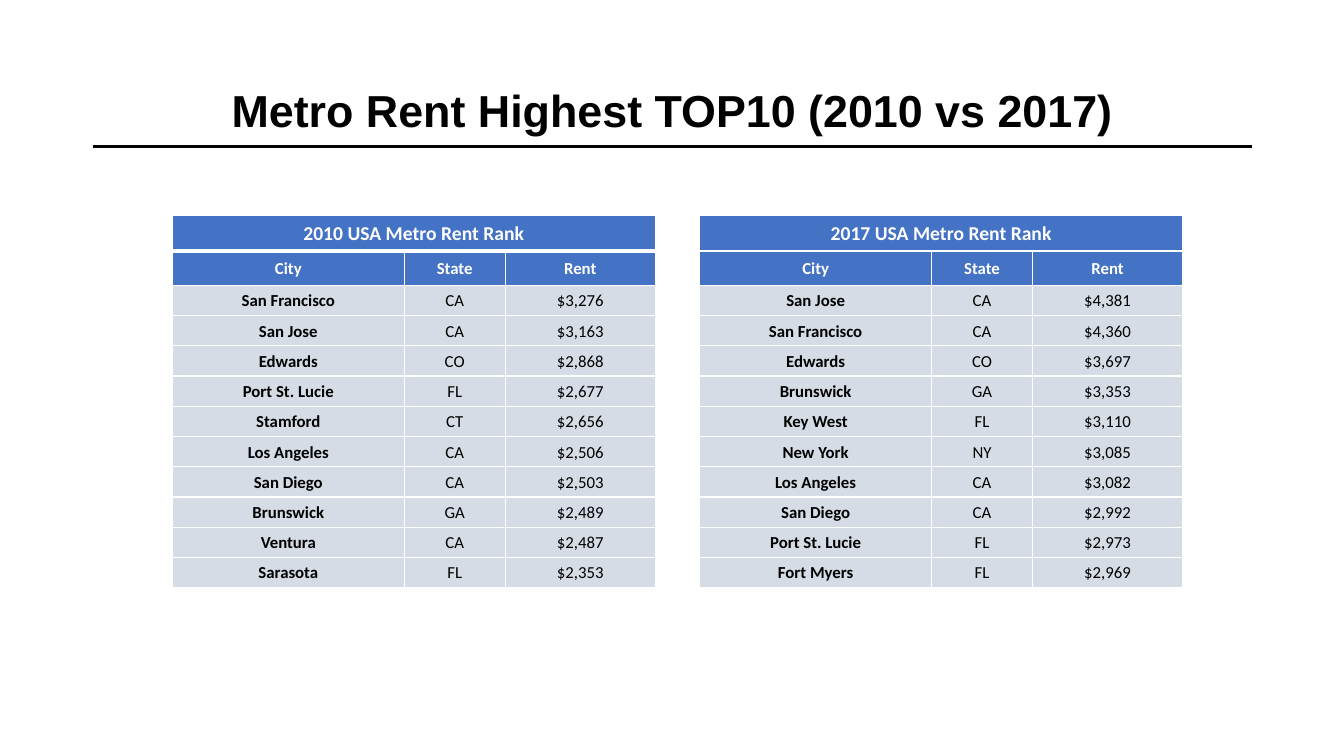
from dataclasses import dataclass

from lxml import etree
from pptx import Presentation
from pptx.dml.color import RGBColor
from pptx.enum import shapes, text
from pptx.oxml import ns
from pptx.util import Inches, Pt

# Content
TITLE = "Metro Rent Highest TOP10 (2010 vs 2017)"
HEADINGS = ("City", "State", "Rent")
RANKINGS = [
    {
        "caption": "2010 USA Metro Rent Rank",
        "caption_rule": 3,
        "metros": [
            ("San Francisco", "CA", "$3,276"),
            ("San Jose", "CA", "$3,163"),
            ("Edwards", "CO", "$2,868"),
            ("Port St. Lucie", "FL", "$2,677"),
            ("Stamford", "CT", "$2,656"),
            ("Los Angeles", "CA", "$2,506"),
            ("San Diego", "CA", "$2,503"),
            ("Brunswick", "GA", "$2,489"),
            ("Ventura", "CA", "$2,487"),
            ("Sarasota", "FL", "$2,353"),
        ],
    },
    {
        "caption": "2017 USA Metro Rent Rank",
        "caption_rule": 1,
        "metros": [
            ("San Jose", "CA", "$4,381"),
            ("San Francisco", "CA", "$4,360"),
            ("Edwards", "CO", "$3,697"),
            ("Brunswick", "GA", "$3,353"),
            ("Key West", "FL", "$3,110"),
            ("New York", "NY", "$3,085"),
            ("Los Angeles", "CA", "$3,082"),
            ("San Diego", "CA", "$2,992"),
            ("Port St. Lucie", "FL", "$2,973"),
            ("Fort Myers", "FL", "$2,969"),
        ],
    },
]


@dataclass(frozen=True)
class Theme:
    ink: str = "000000"
    paper: str = "FFFFFF"
    header: str = "4472C4"
    body: str = "D6DCE5"
    title_font: str = "Arial"
    table_font: str = "Calibri"
    title_size: int = 32
    caption_size: int = 14
    table_size: int = 12


THEME = Theme()

# Layout, in inches
MARGIN, CONTENT_WIDTH = 0.92, 11.5
TITLE_TOP, TITLE_HEIGHT, RULE_TOP = 0.4, 1.45, 1.45
TABLE_LEFT, TABLE_TOP, TABLE_GAP = 1.71, 2.14, 0.44
COLUMN_WIDTHS = (2.3, 1, 1.49)
CAPTION_HEIGHT, HEADING_HEIGHT, METRO_HEIGHT = 0.35, 0.34, 0.3
CELL_INSET = 0.03
TABLE_WIDTH = sum(COLUMN_WIDTHS)


def write(frame, words, font, size, color, bold, spacing):
    paragraph = frame.paragraphs[0]
    paragraph.alignment = text.PP_ALIGN.CENTER
    paragraph.line_spacing = spacing
    run = paragraph.add_run()
    run.text = words
    run.font.name, run.font.size, run.font.bold = font, Pt(size), bold
    run.font.color.rgb = RGBColor.from_string(color)


def add_borders(cell, top, bottom):
    properties = cell._tc.get_or_add_tcPr()
    for side, width in (("L", 1), ("R", 1), ("T", top), ("B", bottom)):
        border = etree.SubElement(properties, ns.qn(f"a:ln{side}"), w=str(Pt(width)))
        fill = etree.SubElement(border, ns.qn("a:solidFill"))
        etree.SubElement(fill, ns.qn("a:srgbClr"), val=THEME.paper)


def add_ranking(slide, ranking, left):
    rows = [(ranking["caption"], "", ""), HEADINGS, *ranking["metros"]]
    heights = [CAPTION_HEIGHT, HEADING_HEIGHT] + [METRO_HEIGHT] * len(ranking["metros"])
    table = slide.shapes.add_table(
        len(rows), len(HEADINGS), Inches(left), Inches(TABLE_TOP),
        Inches(TABLE_WIDTH), Inches(sum(heights)),
    ).table
    for column, width in zip(table.columns, COLUMN_WIDTHS):
        column.width = Inches(width)
    table.cell(0, 0).merge(table.cell(0, len(HEADINGS) - 1))

    for r, (row, height) in enumerate(zip(rows, heights)):
        table.rows[r].height = Inches(height)
        is_header = r < 2
        for c, words in enumerate(row):
            cell = table.cell(r, c)
            add_borders(
                cell,
                top=ranking["caption_rule"] if r == 1 else 1,
                bottom=ranking["caption_rule"] if r == 0 else 1,
            )
            cell.fill.solid()
            cell.fill.fore_color.rgb = RGBColor.from_string(
                THEME.header if is_header else THEME.body)
            cell.vertical_anchor = text.MSO_ANCHOR.MIDDLE
            cell.margin_left = cell.margin_right = Inches(CELL_INSET)
            cell.margin_top = cell.margin_bottom = Inches(CELL_INSET)
            if words:
                write(
                    cell.text_frame, words, THEME.table_font,
                    THEME.caption_size if r == 0 else THEME.table_size,
                    THEME.paper if is_header else THEME.ink,
                    bold=is_header or c == 0, spacing=1.07,
                )


# Slide
deck = Presentation()
deck.slide_width, deck.slide_height = Inches(13.33), Inches(7.5)
slide = deck.slides.add_slide(deck.slide_layouts.get_by_name("Title Only"))

# Title and the rule under it
title = slide.shapes.title
title.left, title.top = Inches(MARGIN), Inches(TITLE_TOP)
title.width, title.height = Inches(CONTENT_WIDTH), Inches(TITLE_HEIGHT)
title.text_frame.vertical_anchor = text.MSO_ANCHOR.MIDDLE
write(title.text_frame, TITLE, THEME.title_font, THEME.title_size,
      THEME.ink, bold=True, spacing=0.9)

rule = slide.shapes.add_connector(
    shapes.MSO_CONNECTOR.STRAIGHT, Inches(MARGIN), Inches(RULE_TOP),
    Inches(MARGIN + CONTENT_WIDTH), Inches(RULE_TOP))
rule.line.color.rgb = RGBColor.from_string(THEME.ink)
rule.line.width = Pt(2.25)
etree.SubElement(rule._element.spPr, ns.qn("a:effectLst"))

# Rankings side by side
for i, ranking in enumerate(RANKINGS):
    add_ranking(slide, ranking, TABLE_LEFT + i * (TABLE_WIDTH + TABLE_GAP))

deck.save("out.pptx")
